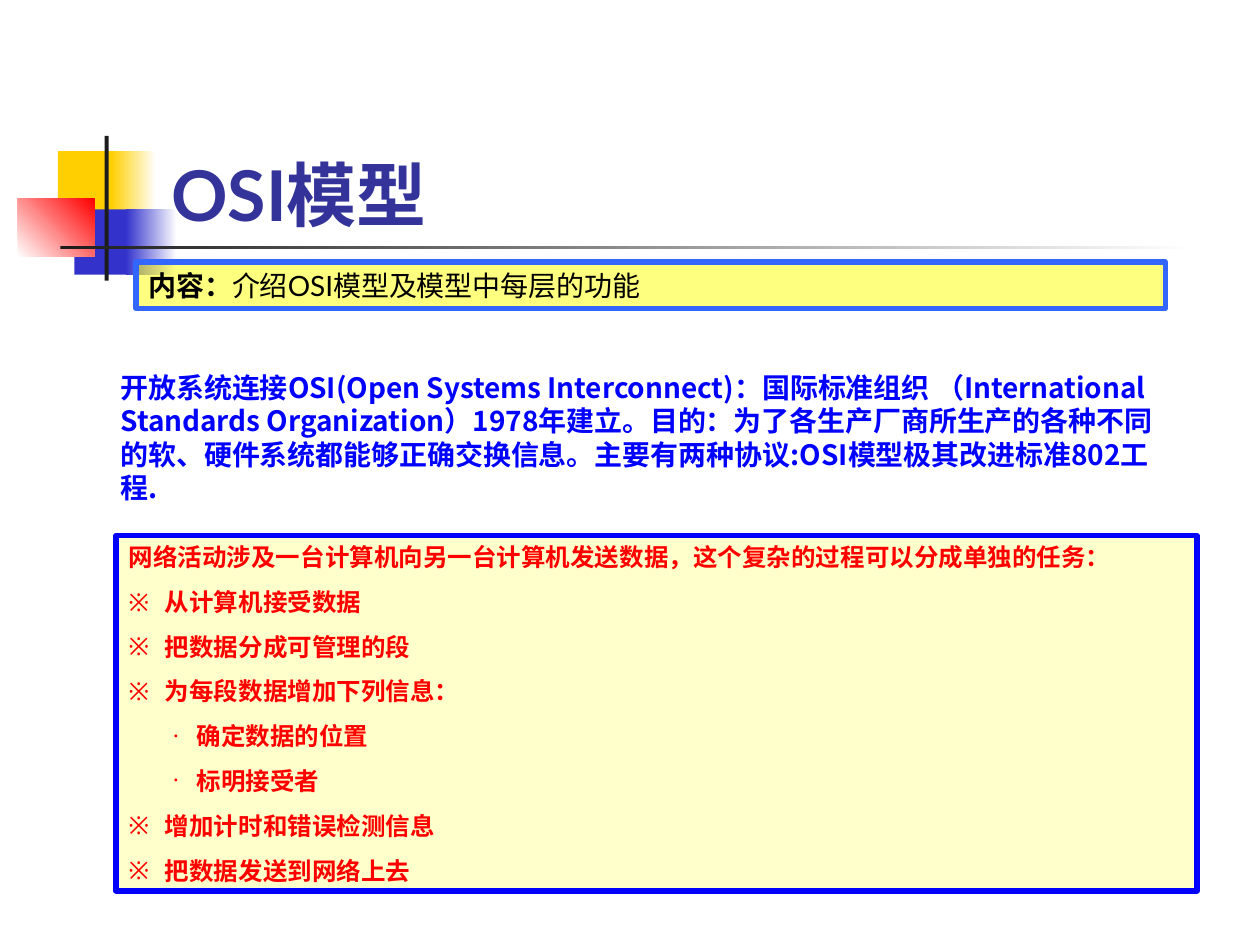
from lxml import etree
from pptx import Presentation
from pptx import util as u
from pptx.dml.color import RGBColor
from pptx.enum import shapes, text
from pptx.oxml.ns import qn

COLORS = {
    "gold": "FFCF01", "indigo": "3333CC", "red": "FF0000", "white": "FFFFFF",
    "ink": "1C1C1C", "title": "333399", "black": "000000", "yellow": "FFFF00",
    "border": "3366FF", "blue": "0000FF", "cream": "FFFF99",
}
TOPIC = [("内容：", True), ("介绍OSI模型及模型中每层的功能", False)]
DEFINITION = (
    "开放系统连接OSI(Open Systems Interconnect)：国际标准组织 "
    "（International Standards Organization）1978年建立。"
    "目的：为了各生产厂商所生产的各种不同的软、硬件系统都能够正确交换信息。"
    "主要有两种协议:OSI模型极其改进标准802工程."
)
TASKS = [
    ("网络活动涉及一台计算机向另一台计算机发送数据，这个复杂的过程可以分成单独的任务：", None),
    ("从计算机接受数据", "※"),
    ("把数据分成可管理的段", "※"),
    ("为每段数据增加下列信息：", "※"),
    ("确定数据的位置", "·"),
    ("标明接受者", "·"),
    ("增加计时和错误检测信息", "※"),
    ("把数据发送到网络上去", "※"),
]
BULLETS = {"※": (0.73, 0.73, "Lato"), "·": (1.37, 0.5, "Times New Roman")}


def rgb(name):
    return RGBColor.from_string(COLORS[name])


class SlideStyle:
    def __init__(self, slide, font="Lato"):
        self.slide = slide
        self.font = font

    def place(self, shape, box):
        for side, value in zip(("left", "top", "width", "height"), box):
            setattr(shape, side, u.Cm(value))

    def frame(self, shape, anchor):
        settings = {"word_wrap": True, "auto_size": text.MSO_AUTO_SIZE.NONE,
                    "vertical_anchor": anchor}
        for key, value in settings.items():
            setattr(shape.text_frame, key, value)
        return shape.text_frame

    def run(self, paragraph, words, size, color, bold=True, font=None):
        run = paragraph.add_run()
        run.text = words
        settings = {"size": u.Pt(size), "bold": bold, "name": font or self.font}
        for key, value in settings.items():
            setattr(run.font, key, value)
        run.font.color.rgb = rgb(color)
        etree.SubElement(run.font._element, qn("a:ea"), typeface=font or self.font)

    def paragraph(self, paragraph, before=0, line=None):
        settings = {"alignment": text.PP_ALIGN.LEFT, "space_before": u.Pt(before),
                    "space_after": u.Pt(0), "line_spacing": line or 1.0}
        for key, value in settings.items():
            setattr(paragraph, key, value)

    def bullet(self, paragraph, mark):
        props = paragraph._p.get_or_add_pPr()
        margin, hang, font = BULLETS.get(mark, (0, 0, None))
        props.set("marL", str(u.Cm(margin)))
        props.set("indent", str(-u.Cm(hang)))
        if mark:
            etree.SubElement(props, qn("a:buFont"), typeface=font)
            etree.SubElement(props, qn("a:buChar"), char=mark)
        else:
            etree.SubElement(props, qn("a:buNone"))

    def panel(self, shape, fill, border):
        shape.fill.solid()
        shape.fill.fore_color.rgb = rgb(fill)
        color = shape.fill._xPr.find(".//" + qn("a:srgbClr"))
        etree.SubElement(color, qn("a:alpha"), val="50000")
        shape.line.color.rgb = rgb(border)
        shape.line.width = u.Pt(3)

    def block(self, box, start, end=None, angle=0):
        block = self.slide.shapes.add_shape(
            shapes.MSO_SHAPE.RECTANGLE, *map(u.Cm, box))
        block.shadow.inherit = False
        block.line.fill.background()
        if end:
            block.fill.gradient()
            block.fill.gradient_angle = angle
            for stop, color in zip(block.fill.gradient_stops, (start, end)):
                stop.color.rgb = rgb(color)
        else:
            block.fill.solid()
            block.fill.fore_color.rgb = rgb(start)

    def title(self, box, words):
        title = self.slide.shapes.title
        self.slide.shapes._spTree.append(title._element)
        self.place(title, box)
        heading = self.frame(title, text.MSO_ANCHOR.BOTTOM).paragraphs[0]
        self.paragraph(heading)
        self.run(heading, words, 40, "title")

    def topic(self, box, parts):
        topic = self.slide.shapes.add_shape(
            shapes.MSO_SHAPE.RECTANGLE, *map(u.Cm, box))
        topic.shadow.inherit = False
        self.panel(topic, "yellow", "border")
        line = self.frame(topic, text.MSO_ANCHOR.TOP).paragraphs[0]
        self.paragraph(line)
        for words, bold in parts:
            self.run(line, words, 16, "black", bold)

    def definition(self, box, words):
        definition = self.slide.shapes.add_textbox(*map(u.Cm, box))
        passage = self.frame(definition, text.MSO_ANCHOR.TOP).paragraphs[0]
        self.paragraph(passage, line=u.Pt(19.2))
        self.run(passage, words, 16, "blue", font="Noto Sans CJK SC")

    def tasks(self, box, items):
        tasks = self.slide.placeholders[1]
        self.place(tasks, box)
        self.panel(tasks, "cream", "blue")
        frame = self.frame(tasks, text.MSO_ANCHOR.TOP)
        for index, (words, mark) in enumerate(items):
            item = frame.add_paragraph() if index else frame.paragraphs[0]
            self.paragraph(item, before=8.8 if index else 0)
            self.bullet(item, mark)
            self.run(item, words, 14, "red")


def main():
    deck = Presentation()
    deck.slide_width, deck.slide_height = u.Cm(25.4), u.Cm(19.05)
    page = SlideStyle(deck.slides.add_slide(deck.slide_layouts[1]))
    page.block((1.17, 3.05, 1.22, 1.32), "gold")
    page.block((2.24, 3.05, 0.91, 1.32), "gold", "white")
    page.block((1.5, 4.22, 1.17, 1.32), "indigo")
    page.block((2.54, 4.22, 1.02, 1.32), "indigo", "white")
    page.block((0.36, 4.01, 1.55, 1.17), "white", "red", 45)
    page.block((2.11, 2.74, 0.08, 2.92), "ink")
    page.block((1.22, 4.95, 22.86, 0.08), "ink", "white")
    page.title((3.2, 1.7, 21.64, 3.18), "OSI模型")
    page.topic((2.74, 5.28, 20.75, 0.94), TOPIC)
    page.definition((2.18, 7.34, 21.59, 2.97), DEFINITION)
    page.tasks((2.34, 10.8, 21.79, 7.16), TASKS)
    deck.save("out.pptx")


if __name__ == "__main__":
    main()
